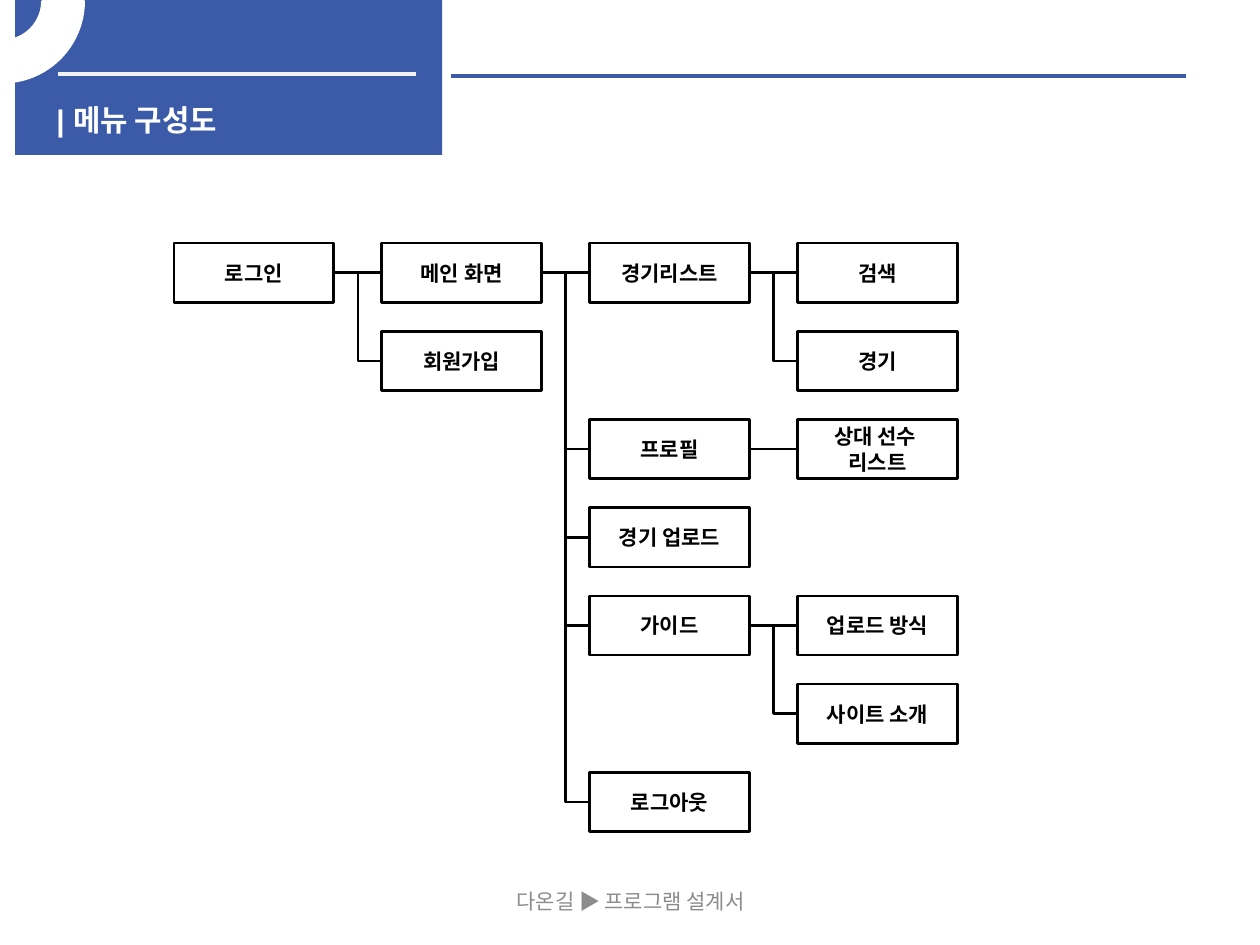
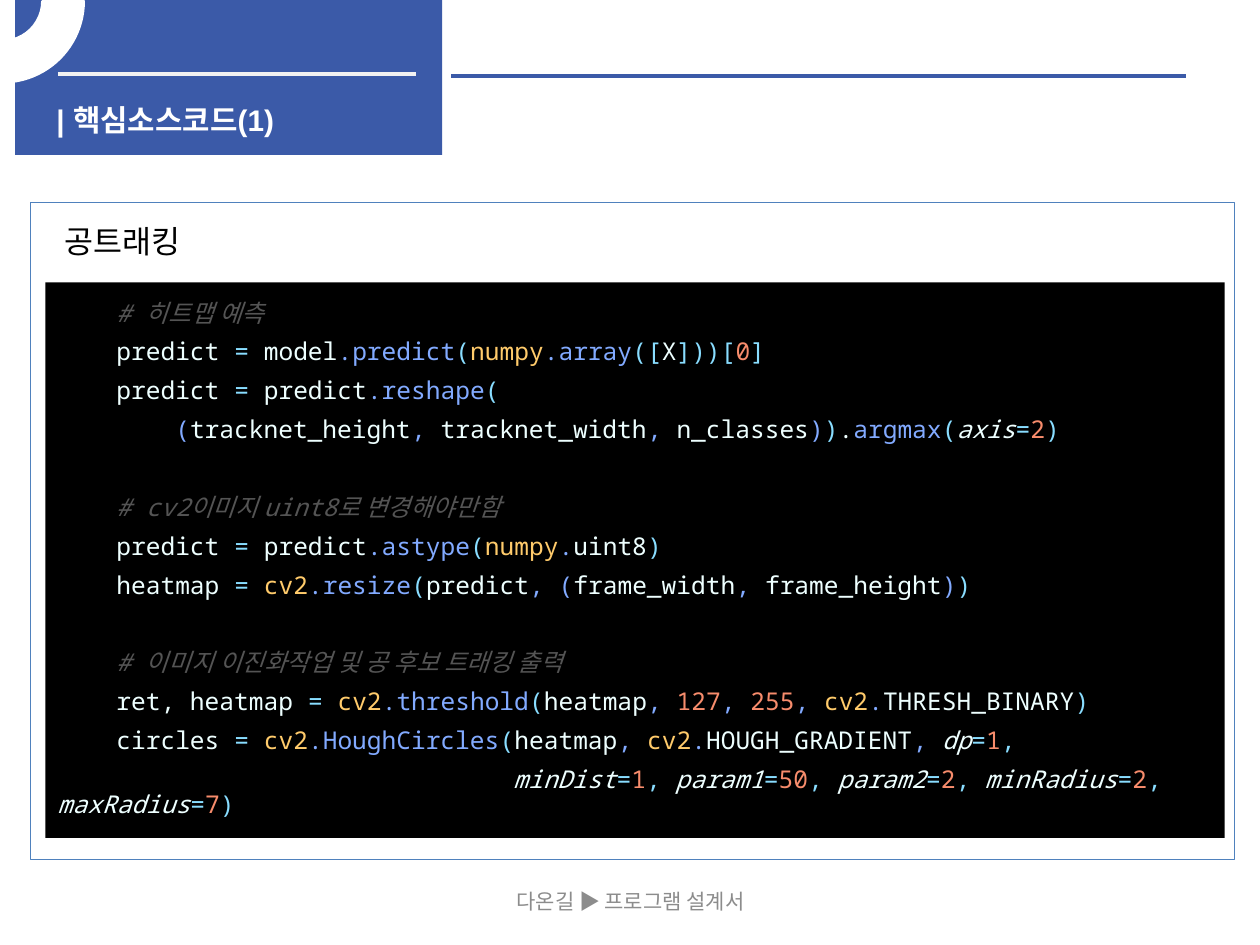
"""Build two slides of a program design document: a menu chart and a code listing."""
import dataclasses
from typing import Any, Optional

import pptx
import pptx.dml.color
import pptx.enum.shapes
import pptx.enum.text
import pptx.oxml.ns
import pptx.oxml.xmlchemy
import pptx.util

Inches = pptx.util.Inches
Pt = pptx.util.Pt
SHAPES = pptx.enum.shapes.MSO_SHAPE
CONNECTORS = pptx.enum.shapes.MSO_CONNECTOR
ALIGN = pptx.enum.text.PP_ALIGN
ANCHOR = pptx.enum.text.MSO_ANCHOR

BLUE, WHITE, BLACK = "3B5AA8", "FFFFFF", "000000"
PALE, GRAY, FRAME = "F2F2F2", "8C8C8C", "4F81BD"
KOREAN_FONT, TITLE_FONT, CODE_FONT = "Noto Sans CJK KR", "Arial", "Noto Sans Mono"
FOOTER = "다온길 ▶ 프로그램 설계서"

# Menu grid, in inches
MENU_LEFT, MENU_TOP = 1.38, 1.93
COLUMN_STEP, ROW_STEP = 1.65, 0.7
ITEM_WIDTH, ITEM_HEIGHT = 1.27, 0.47

# Width of one 14-point character of the code font, in points
CODE_CHARACTER = 8.4
LINE_SPACING, LINE_AFTER = 14.2, 8


@dataclasses.dataclass(frozen=True)
class Style:
    """Look of a span of text."""
    size: float
    color: str
    font: str = KOREAN_FONT
    bold: bool = False
    italic: bool = False


@dataclasses.dataclass(frozen=True)
class MenuItem:
    """One box of the menu chart, with its grid cell and parent label."""
    label: str
    column: int
    row: int
    parent: str = ""

    @property
    def left(self) -> float:
        """Left edge in inches."""
        return MENU_LEFT + self.column * COLUMN_STEP

    @property
    def top(self) -> float:
        """Top edge in inches."""
        return MENU_TOP + self.row * ROW_STEP

    @property
    def right(self) -> float:
        """Right edge in inches."""
        return self.left + ITEM_WIDTH

    @property
    def middle(self) -> float:
        """Height of the centre in inches."""
        return self.top + ITEM_HEIGHT / 2


@dataclasses.dataclass(frozen=True)
class CodeLine:
    """A line of code: spans split by a bar, each led by its style letter."""
    spans: str
    indent: int = 4
    gap_above: bool = False


TITLE = Style(17, WHITE, TITLE_FONT, bold=True)
FOOTER_STYLE = Style(12, GRAY)
MENU_STYLE = Style(12, BLACK, bold=True)
HEADING = Style(18, BLACK)

CODE_STYLES = {
    "w": Style(14, "EEFFFF", CODE_FONT),               # plain names
    "a": Style(14, "EEFFFF", CODE_FONT, italic=True),  # argument names
    "c": Style(14, "89DDFF", CODE_FONT),               # operators
    "f": Style(14, "82AAFF", CODE_FONT),               # functions
    "m": Style(14, "FFCB6B", CODE_FONT),               # modules
    "n": Style(14, "F78C6C", CODE_FONT),               # numbers
    "#": Style(14, "545454", CODE_FONT, italic=True),  # comments
}

MENU = [
    MenuItem("로그인", 0, 0),
    MenuItem("메인 화면", 1, 0, "로그인"),
    MenuItem("회원가입", 1, 1, "로그인"),
    MenuItem("경기리스트", 2, 0, "메인 화면"),
    MenuItem("프로필", 2, 2, "메인 화면"),
    MenuItem("경기 업로드", 2, 3, "메인 화면"),
    MenuItem("가이드", 2, 4, "메인 화면"),
    MenuItem("로그아웃", 2, 6, "메인 화면"),
    MenuItem("검색", 3, 0, "경기리스트"),
    MenuItem("경기", 3, 1, "경기리스트"),
    MenuItem("상대 선수 \n리스트", 3, 2, "프로필"),
    MenuItem("업로드 방식", 3, 4, "가이드"),
    MenuItem("사이트 소개", 3, 5, "가이드"),
]

CODE = [
    CodeLine("## 히트맵 예측"),
    CodeLine("wpredict |c= |wmodel|f.predict|c(|mnumpy|f.array|c([|wX|c]))[|n0|c]"),
    CodeLine("wpredict |c= |wpredict|f.reshape|c("),
    CodeLine("f(|wtracknet_height|f, |wtracknet_width|f, |wn_classes|f)|c)|w.|fargmax"
             "|c(|aaxis|c=|n2|c)", indent=8),
    CodeLine("## cv2이미지 uint8로 변경해야만함", gap_above=True),
    CodeLine("wpredict |c= |wpredict|f.astype|c(|mnumpy|f.|wuint8|c)"),
    CodeLine("wheatmap |c= |mcv2|f.resize|c(|wpredict|f, (|wframe_width|f, "
             "|wframe_height|f)|c)"),
    CodeLine("## 이미지 이진화작업 및 공 후보 트래킹 출력", gap_above=True),
    CodeLine("wret, heatmap |c= |mcv2|f.threshold|c(|wheatmap|f, |n127|f, |n255|f, "
             "|mcv2|f.|wTHRESH_BINARY|c)"),
    CodeLine("wcircles |c= |mcv2|f.HoughCircles|c(|wheatmap|f, |mcv2|f.|wHOUGH_GRADIENT"
             "|f, |adp|c=|n1|c,"),
    CodeLine("aminDist|c=|n1|c, |aparam1|c=|n50|c, |aparam2|c=|n2|c, |aminRadius|c=|n2"
             "|c, |amaxRadius|c=|n7|c)", indent=31),
]


def rgb(color: str) -> pptx.dml.color.RGBColor:
    """Turn a hex string into a colour."""
    return pptx.dml.color.RGBColor.from_string(color)


def apply_format(target: Any, values: dict[str, Any]) -> None:
    """Set each named attribute of the target."""
    for name, value in values.items():
        setattr(target, name, value)


def add_span(para: Any, text: str, style: Style) -> None:
    """Append a styled span to a paragraph."""
    span = para.add_run()
    span.text = text
    apply_format(span.font, {"size": Pt(style.size), "name": style.font,
                             "bold": style.bold, "italic": style.italic})
    span.font.color.rgb = rgb(style.color)
    east_asian = pptx.oxml.xmlchemy.OxmlElement("a:ea")
    east_asian.set("typeface", KOREAN_FONT)
    span.font._element.find(pptx.oxml.ns.qn("a:latin")).addnext(east_asian)


def write_text(box: Any, text: str, style: Style, align: Any = ALIGN.LEFT,
               anchor: Any = ANCHOR.MIDDLE) -> None:
    """Fill a box with one paragraph for each line of the text."""
    frame = box.text_frame
    apply_format(frame, {"word_wrap": True, "vertical_anchor": anchor})
    for number, line in enumerate(text.split("\n")):
        para = frame.add_paragraph() if number else frame.paragraphs[0]
        para.alignment = align
        add_span(para, line, style)


def add_text(page: Any, at: tuple, text: str, style: Style, **layout: Any) -> None:
    """Add a text box at left, top, width, height."""
    box = page.shapes.add_textbox(*map(Inches, at))
    write_text(box, text, style, **layout)


def add_box(page: Any, at: tuple, fill: Optional[str] = None, line: Optional[str] = None,
            weight: float = 1.5, kind: Any = SHAPES.RECTANGLE) -> Any:
    """Add a flat shape at left, top, width, height."""
    box = page.shapes.add_shape(kind, *map(Inches, at))
    box.shadow.inherit = False
    for part, color in ((box.fill, fill), (box.line.fill, line)):
        if color:
            part.solid()
            part.fore_color.rgb = rgb(color)
        else:
            part.background()
    if line:
        box.line.width = Pt(weight)
    return box


def add_line(page: Any, start: tuple, end: tuple, color: str = BLACK,
             weight: float = 1.5, kind: Any = CONNECTORS.STRAIGHT) -> Any:
    """Add a connector without a shadow."""
    line = page.shapes.add_connector(kind, *map(Inches, start + end))
    line.line.color.rgb = rgb(color)
    line.line.width = Pt(weight)
    line.element.spPr.append(pptx.oxml.xmlchemy.OxmlElement("a:effectLst"))
    return line


def add_elbow(page: Any, start: tuple, end: tuple) -> None:
    """Add a connector that runs down and then right."""
    line = add_line(page, start, end, kind=CONNECTORS.ELBOW)
    across, down = end[0] - start[0], end[1] - start[1]
    # The one-bend preset runs right then down, so it is turned and mirrored.
    apply_format(line, {"left": Inches((start[0] + end[0] - down) / 2),
                        "top": Inches((start[1] + end[1] - across) / 2),
                        "width": Inches(down), "height": Inches(across)})
    properties = line.element.spPr
    properties.find(pptx.oxml.ns.qn("a:prstGeom")).set("prst", "bentConnector2")
    frame = properties.find(pptx.oxml.ns.qn("a:xfrm"))
    frame.set("rot", str(270 * 60000))
    frame.set("flipH", "1")


def add_page(deck: Any, title: str) -> Any:
    """Add a slide with the shared title band, rules, arc and footer."""
    page = deck.slides.add_slide(deck.slide_layouts[6])
    add_box(page, (0.12, 0, 3.39, 1.23), fill=BLUE)
    add_line(page, (0.46, 0.59), (3.3, 0.59), PALE, 2.25)
    add_line(page, (3.58, 0.6), (9.41, 0.6), BLUE, 2.25)
    add_text(page, (0.35, 0.76, 3.23, 0.3), f"| {title}", TITLE, anchor=ANCHOR.TOP)
    arc = add_box(page, (-0.63, -0.63, 1.29, 1.28), WHITE, WHITE, 2, SHAPES.BLOCK_ARC)
    for number, value in enumerate((161.59, 0, 0.25)):
        arc.adjustments[number] = value
    arc.element.spPr.find(pptx.oxml.ns.qn("a:xfrm")).set("flipV", "1")
    add_text(page, (3.42, 6.95, 3.17, 0.4), FOOTER, FOOTER_STYLE, align=ALIGN.CENTER)
    return page


def add_menu(page: Any, items: list[MenuItem]) -> None:
    """Draw the menu boxes and join each one to its parent."""
    by_label = {item.label: item for item in items}
    for item in items:
        box = add_box(page, (item.left, item.top, ITEM_WIDTH, ITEM_HEIGHT), line=BLACK)
        write_text(box, item.label, MENU_STYLE, align=ALIGN.CENTER)
    for item in items:
        parent = by_label.get(item.parent)
        if parent is None:
            continue
        end = (item.left, item.middle)
        if parent.row == item.row:
            add_line(page, (parent.right, parent.middle), end)
        else:
            add_elbow(page, ((parent.right + item.left) / 2, parent.middle), end)


def add_code(page: Any, at: tuple, lines: list[CodeLine]) -> None:
    """Draw a black panel with coloured code."""
    frame = add_box(page, at, fill=BLACK).text_frame
    apply_format(frame, {"word_wrap": True, "vertical_anchor": ANCHOR.MIDDLE})
    for number, line in enumerate(lines):
        para = frame.add_paragraph() if number else frame.paragraphs[0]
        gap = LINE_SPACING + LINE_AFTER if line.gap_above else 0
        apply_format(para, {"alignment": ALIGN.LEFT, "line_spacing": Pt(LINE_SPACING),
                            "space_before": Pt(gap), "space_after": Pt(LINE_AFTER)})
        properties = para._p.get_or_add_pPr()
        properties.set("marL", "0")
        properties.set("indent", str(Pt(line.indent * CODE_CHARACTER)))
        for span in line.spans.split("|"):
            add_span(para, span[1:], CODE_STYLES[span[0]])


def main() -> None:
    """Build and save the deck."""
    deck = pptx.Presentation()
    apply_format(deck, {"slide_width": Inches(10), "slide_height": Inches(7.5)})

    add_menu(add_page(deck, "메뉴 구성도"), MENU)

    code_page = add_page(deck, "핵심소스코드(1)")
    add_box(code_page, (0.24, 1.61, 9.56, 5.21), line=FRAME, weight=0.75)
    add_code(code_page, (0.36, 2.24, 9.36, 4.41), CODE)
    add_text(code_page, (0.07, 1.69, 1.81, 0.45), "공트래킹", HEADING, align=ALIGN.CENTER)

    deck.save("out.pptx")


main()
